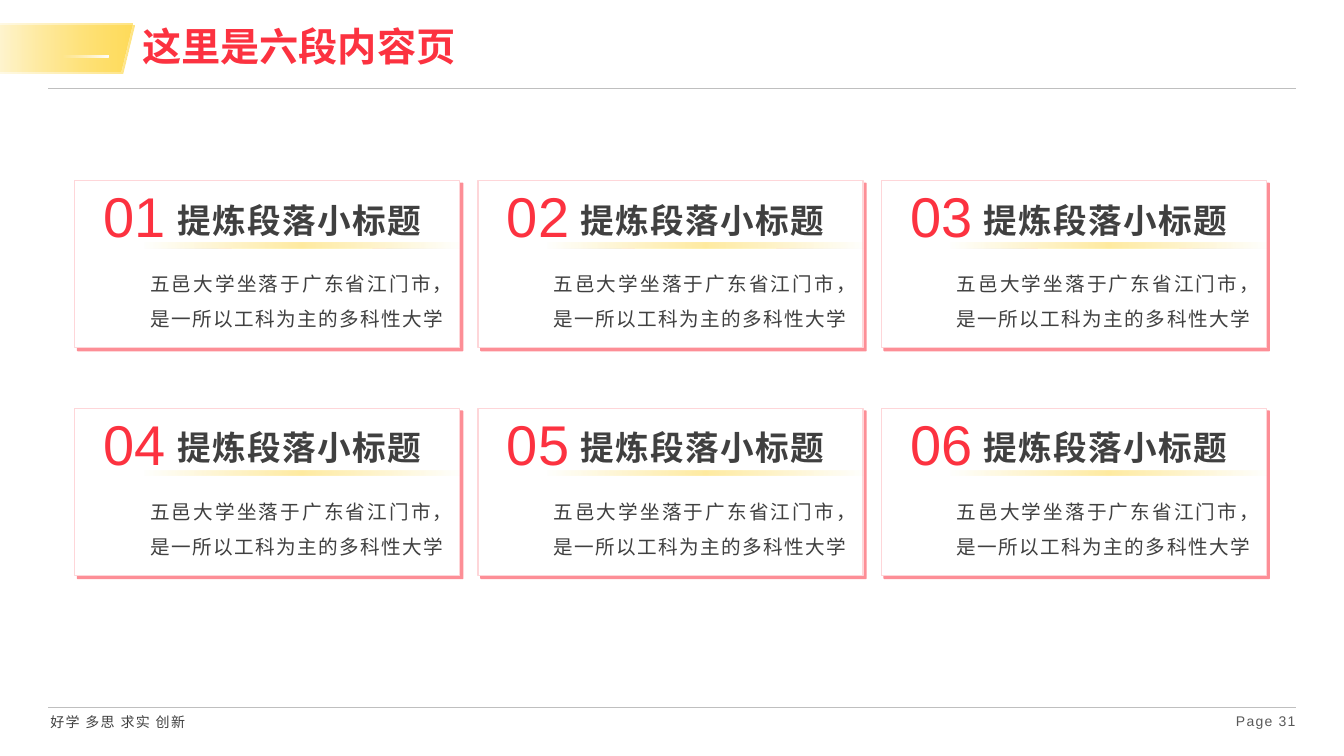
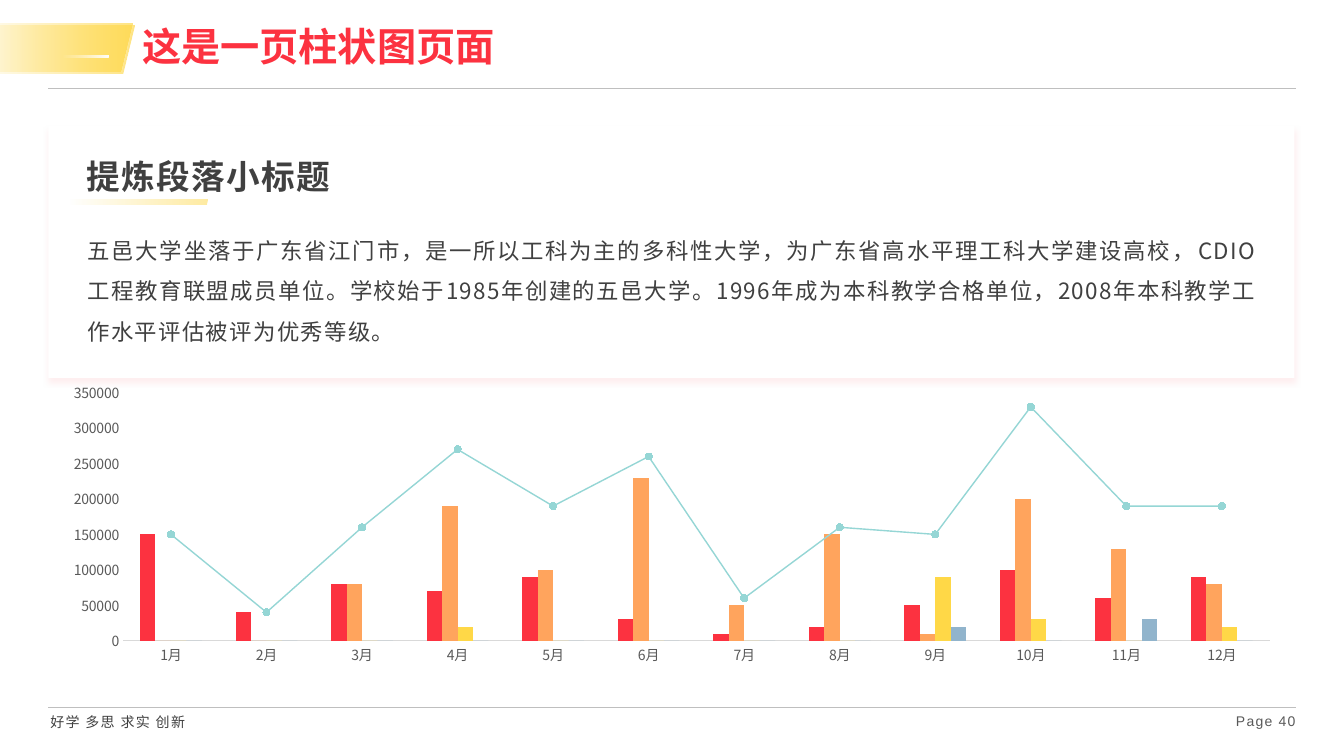
from dataclasses import dataclass

from lxml import etree
from pptx import Presentation
from pptx.chart.data import CategoryChartData
from pptx.dml.color import RGBColor
from pptx.enum import chart as charts, shapes, text
from pptx.oxml import ns, parse_xml
from pptx.util import Inches, Pt


@dataclass(frozen=True)
class Theme:
    red: str = "FC3240"
    pink: str = "FED6D9"
    yellow: str = "FFD847"
    white: str = "FFFFFF"
    dark: str = "404040"
    gray: str = "595959"
    rule: str = "BFBFBF"
    axis: str = "D9D9D9"
    columns: tuple = ("FC3240", "FFA45D", "FFD847", "91B4CC")
    trend: str = "95D6D5"
    latin: str = "Arial"
    chinese: str = "Noto Sans CJK SC"
    chart_font: str = "Times New Roman"
    title: int = 28
    heading: int = 24
    number: int = 40
    intro: int = 16
    body: int = 14
    small: int = 10


THEME = Theme()

MOTTO = "好学 多思 求实 创新"
HEADING = "提炼段落小标题"
CARD_BODY = "五邑大学坐落于广东省江门市，是一所以工科为主的多科性大学"
INTRO = (
    "五邑大学坐落于广东省江门市，是一所以工科为主的多科性大学，为广东省高水平理工科大学建设高校，"
    "CDIO工程教育联盟成员单位。学校始于1985年创建的五邑大学。1996年成为本科教学合格单位，"
    "2008年本科教学工作水平评估被评为优秀等级。"
)
MONTHS = [f"{month}月" for month in range(1, 13)]
# Monthly values in units of ten thousand
COLUMN_VALUES = (
    (15, 4, 8, 7, 9, 3, 1, 2, 5, 10, 6, 9),
    (0, 0, 8, 19, 10, 23, 5, 15, 1, 20, 13, 8),
    (0, 0, 0, 2, 0, 0, 0, 0, 9, 3, 0, 2),
    (0, 0, 0, 0, 0, 0, 0, 0, 2, 0, 3, 0),
)
TREND_VALUES = (15, 4, 16, 27, 19, 26, 6, 16, 15, 33, 19, 19)


def rgb(color):
    return RGBColor.from_string(color)


def box(left, top, width, height):
    return Inches(left), Inches(top), Inches(width), Inches(height)


# Text

def write(shape, content, *, size, color, font=THEME.chinese, bold=False,
          spacing=0, align=text.PP_ALIGN.LEFT, line_spacing=None,
          anchor=text.MSO_ANCHOR.TOP):
    frame = shape.text_frame
    frame.word_wrap = True
    frame.auto_size = text.MSO_AUTO_SIZE.NONE
    frame.vertical_anchor = anchor
    paragraph = frame.paragraphs[0]
    paragraph.alignment = align
    if line_spacing:
        paragraph.line_spacing = line_spacing
    run = paragraph.add_run()
    run.text = content
    run.font.size = Pt(size)
    run.font.bold = bold
    run.font.color.rgb = rgb(color)
    run.font.name = font
    properties = run.font._element
    etree.SubElement(properties, ns.qn("a:ea"), typeface=THEME.chinese)
    if spacing:
        properties.set("spc", str(round(spacing * 100)))


def add_text(slide, position, content, **style):
    shape = slide.shapes.add_textbox(*box(*position))
    write(shape, content, **style)
    return shape


def add_heading(slide, left, top):
    add_text(slide, (left, top, 2.67, 0.5), HEADING, size=THEME.heading,
             color=THEME.dark, bold=True, spacing=1)


# Shapes

def add_rule(slide, top):
    line = slide.shapes.add_connector(
        shapes.MSO_CONNECTOR.STRAIGHT,
        Inches(0.48), Inches(top), Inches(12.85), Inches(top))
    line.line.color.rgb = rgb(THEME.rule)
    line.line.width = Pt(0.5)
    etree.SubElement(line.element.spPr, ns.qn("a:effectLst"))


def add_ribbon(slide, position, color, *stops):
    """Draw a slanted bar; stops are (position, opacity) in percent, left to right."""
    shape = slide.shapes.add_shape(shapes.MSO_SHAPE.PARALLELOGRAM, *box(*position))
    shape.shadow.inherit = False
    shape.line.fill.background()
    shape.fill.gradient()
    shape.fill.gradient_angle = 0
    stop_list = shape.element.spPr.find(".//" + ns.qn("a:gsLst"))
    for stop in list(stop_list):
        stop_list.remove(stop)
    for place, opacity in stops:
        stop = etree.SubElement(stop_list, ns.qn("a:gs"), pos=str(place * 1000))
        fill = etree.SubElement(stop, ns.qn("a:srgbClr"), val=color)
        etree.SubElement(fill, ns.qn("a:alpha"), val=str(opacity * 1000))


def add_panel(slide, position, *, shadow, opacity, blur, angle, border=None):
    shape = slide.shapes.add_shape(shapes.MSO_SHAPE.RECTANGLE, *box(*position))
    shape.fill.solid()
    shape.fill.fore_color.rgb = rgb(THEME.white)
    if border:
        shape.line.color.rgb = rgb(border)
        shape.line.width = Pt(1)
    else:
        shape.line.fill.background()
    shape.shadow.inherit = False
    effects = shape.element.spPr.find(ns.qn("a:effectLst"))
    effects.append(parse_xml(
        f'<a:outerShdw {ns.nsdecls("a")} blurRad="{Pt(blur)}" dist="{Pt(3)}" '
        f'dir="{angle * 60000}" algn="t" rotWithShape="0"><a:srgbClr val="{shadow}">'
        f'<a:alpha val="{opacity * 1000}"/></a:srgbClr></a:outerShdw>'))


# Frame shared by all slides

def add_page(presentation, title, number):
    slide = presentation.slides.add_slide(presentation.slide_layouts[5])
    for top in (0.88, 7.02):
        add_rule(slide, top)
    for left, top in ((-0.34, 0.25), (-0.36, 0.23)):
        add_ribbon(slide, (left, top, 1.67, 0.48), THEME.yellow, (0, 0), (100, 68))
    add_ribbon(slide, (0.62, 0.55, 0.46, 0.02), THEME.white, (0, 0), (100, 100))

    heading = slide.shapes.title
    heading.left, heading.top, heading.width, heading.height = box(1.31, 0.24, 8.99, 0.48)
    write(heading, title, size=THEME.title, color=THEME.red, bold=True,
          line_spacing=0.9, anchor=text.MSO_ANCHOR.MIDDLE)

    add_text(slide, (0.4, 7.03, 2.15, 0.27), MOTTO, size=THEME.small,
             color=THEME.dark, font=THEME.latin, spacing=1)
    page = add_text(slide, (11.85, 7.02, 1, 0.32), f"Page {number}", size=THEME.small,
                    color=THEME.gray, font=THEME.latin, spacing=0.9,
                    align=text.PP_ALIGN.RIGHT)
    page.text_frame.margin_right = 0
    return slide


# Six numbered cards

def add_card(slide, left, top, number):
    add_panel(slide, (left, top, 3.82, 1.66), shadow=THEME.red, opacity=55,
              blur=0, angle=45, border=THEME.pink)
    add_heading(slide, left + 0.92, top + 0.14)
    add_ribbon(slide, (left + 0.68, top + 0.62, 3.15, 0.05), THEME.yellow,
               (0, 0), (50, 51), (100, 0))
    add_text(slide, (left + 0.65, top + 0.74, 3.21, 0.77), CARD_BODY, size=THEME.body,
             color=THEME.dark, spacing=1, line_spacing=1.5, align=text.PP_ALIGN.JUSTIFY)
    add_text(slide, (left + 0.19, top + 0.04, 0.97, 0.71), f"{number:02}",
             size=THEME.number, color=THEME.red, font=THEME.latin, line_spacing=0.9)


def build_cards(presentation):
    slide = add_page(presentation, "这里是六段内容页", 31)
    for index in range(6):
        row, column = divmod(index, 3)
        add_card(slide, 0.74 + column * 4, 1.79 + row * 2.26, index + 1)


# Column chart with a trend line

def move_last_series_to_line(chart):
    bar_plot = chart.element.find(".//" + ns.qn("c:barChart"))
    series = bar_plot.findall(ns.qn("c:ser"))[-1]
    for bar_only in series.findall(ns.qn("c:invertIfNegative")):
        series.remove(bar_only)
    axis_ids = "".join(f'<c:axId val="{axis.get("val")}"/>'
                       for axis in bar_plot.findall(ns.qn("c:axId")))
    line_plot = parse_xml(
        f'<c:lineChart {ns.nsdecls("c")}><c:grouping val="standard"/>'
        f'<c:varyColors val="0"/><c:marker val="1"/>{axis_ids}</c:lineChart>')
    line_plot.insert(2, series)
    bar_plot.addnext(line_plot)


def set_plot_area(chart, **fractions):
    layout = parse_xml(
        f'<c:layout {ns.nsdecls("c")}><c:manualLayout><c:layoutTarget val="inner"/>'
        '<c:xMode val="edge"/><c:yMode val="edge"/>'
        + "".join(f'<c:{name} val="{value}"/>' for name, value in fractions.items())
        + '</c:manualLayout></c:layout>')
    plot_area = chart.element.find(".//" + ns.qn("c:plotArea"))
    for old in plot_area.findall(ns.qn("c:layout")):
        plot_area.remove(old)
    plot_area.insert(0, layout)


def format_axis(axis):
    axis.has_major_gridlines = False
    axis.major_tick_mark = axis.minor_tick_mark = charts.XL_TICK_MARK.NONE
    font = axis.tick_labels.font
    font.size = Pt(THEME.small)
    font.color.rgb = rgb(THEME.gray)
    font.name = THEME.chinese
    etree.SubElement(font._element, ns.qn("a:ea"), typeface=THEME.chinese)


def add_monthly_chart(slide, position):
    data = CategoryChartData()
    data.categories = MONTHS
    for index, values in enumerate((*COLUMN_VALUES, TREND_VALUES), 1):
        data.add_series(f"Series {index}", [value * 10000 for value in values])
    chart = slide.shapes.add_chart(
        charts.XL_CHART_TYPE.COLUMN_CLUSTERED, *box(*position), data).chart
    chart.has_legend = False
    chart.has_title = False
    chart.font.size = Pt(THEME.small)
    chart.font.name = THEME.chart_font

    move_last_series_to_line(chart)
    set_plot_area(chart, x=0.06, y=0.05, w=0.92, h=0.84)
    column_plot, line_plot = chart.plots
    column_plot.gap_width = 219
    column_plot.overlap = 0
    column_plot.vary_by_categories = False
    for series, color in zip(column_plot.series, THEME.columns):
        series.format.fill.solid()
        series.format.fill.fore_color.rgb = rgb(color)

    trend = line_plot.series[0]
    trend.smooth = False
    trend.format.line.color.rgb = rgb(THEME.trend)
    trend.format.line.width = Pt(1)
    trend.marker.style = charts.XL_MARKER_STYLE.CIRCLE
    trend.marker.size = 5
    trend.marker.format.fill.solid()
    trend.marker.format.fill.fore_color.rgb = rgb(THEME.trend)
    trend.marker.format.line.color.rgb = rgb(THEME.trend)

    for axis in (chart.category_axis, chart.value_axis):
        format_axis(axis)
    chart.category_axis.format.line.color.rgb = rgb(THEME.axis)
    chart.category_axis.format.line.width = Pt(0.75)
    chart.value_axis.format.line.fill.background()
    chart.value_axis.minimum_scale = 0
    chart.value_axis.maximum_scale = 350000
    chart.value_axis.major_unit = 50000


def build_chart(presentation):
    slide = add_page(presentation, "这是一页柱状图页面", 40)
    add_panel(slide, (0.48, 1.25, 12.36, 2.5), shadow=THEME.pink, opacity=40,
              blur=4, angle=90)
    add_heading(slide, 0.76, 1.5)
    add_ribbon(slide, (0.68, 1.98, 1.38, 0.05), THEME.yellow, (0, 0), (100, 51))
    add_text(slide, (0.77, 2.17, 11.79, 1.27), INTRO, size=THEME.intro,
             color=THEME.dark, spacing=1, line_spacing=1.5, align=text.PP_ALIGN.JUSTIFY)
    add_monthly_chart(slide, (0.48, 3.75, 12.36, 2.93))


def main():
    presentation = Presentation()
    presentation.slide_width = Inches(13.33)
    presentation.slide_height = Inches(7.5)
    build_cards(presentation)
    build_chart(presentation)
    presentation.save("out.pptx")


if __name__ == "__main__":
    main()
